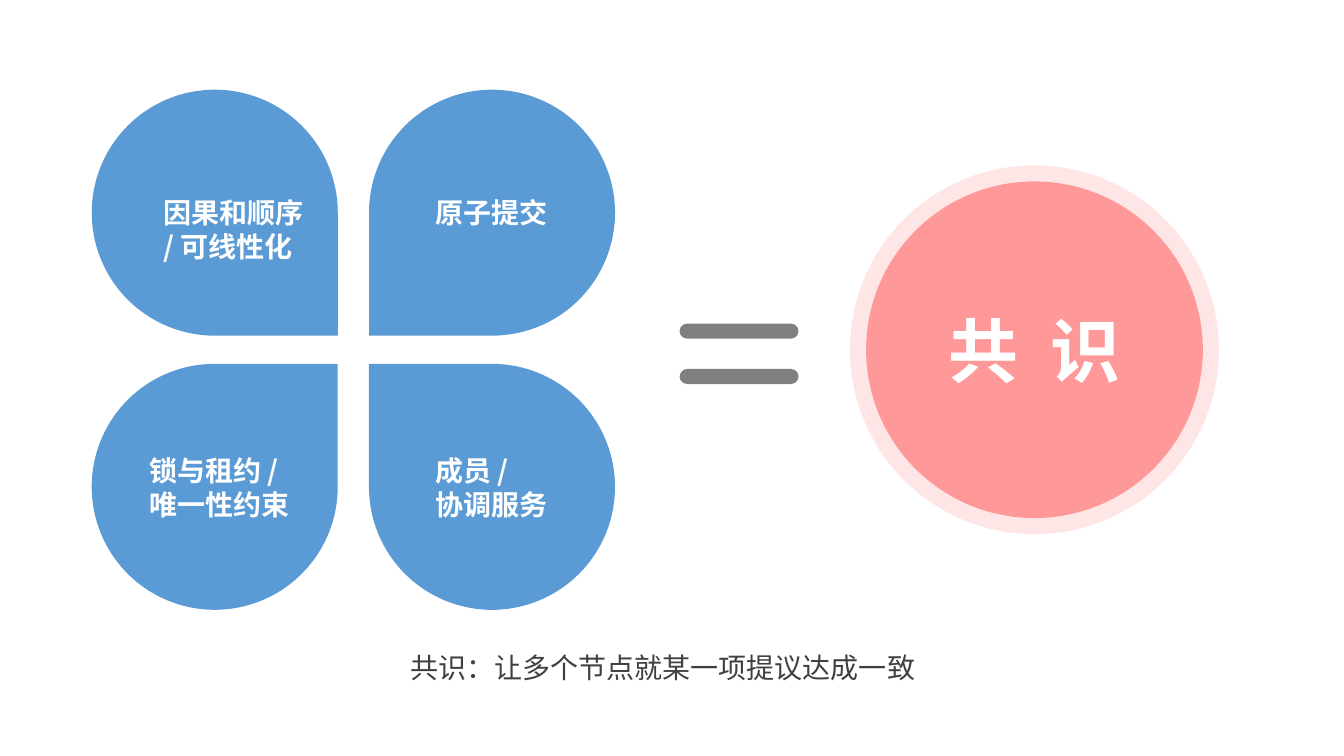
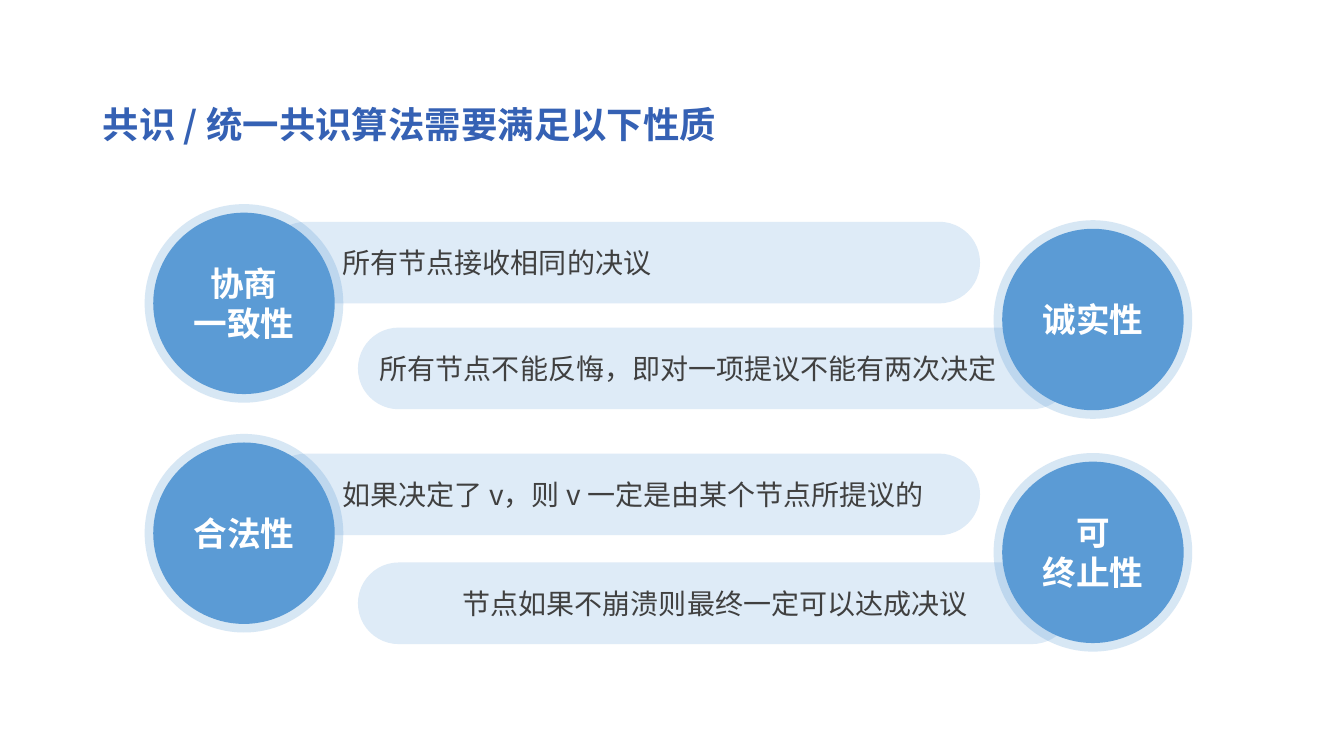
from lxml import etree
from pptx import Presentation
from pptx.dml.color import RGBColor
from pptx.enum.shapes import MSO_SHAPE
from pptx.enum.text import MSO_ANCHOR, PP_ALIGN
from pptx.oxml.ns import qn
from pptx.util import Inches, Pt

ELLIPSE, TEARDROP, PILL = MSO_SHAPE.OVAL, MSO_SHAPE.TEAR, MSO_SHAPE.ROUNDED_RECTANGLE
MIDDLE, LEFT, CENTER = MSO_ANCHOR.MIDDLE, PP_ALIGN.LEFT, PP_ALIGN.CENTER

# Shared style
FONT = "Noto Sans CJK SC"
BLUE, PALE_BLUE, TITLE_BLUE = "5B9BD5", "DEEBF7", "3561B4"
PINK, GRAY, INK, WHITE = "FF9999", "808080", "404040", "FFFFFF"
HALO_OPACITY = 24

# Slide 1: column, row, rotation, label, label left, label top, label width
PETALS = [
    (0, 1, 0, "锁与租约 /\n唯一性约束", 1.38, 4.45, 1.6),
    (1, 1, 270, "成员 /\n协调服务", 4.22, 4.45, 1.32),
    (0, 0, 90, "因果和顺序\n/ 可线性化", 1.52, 1.89, 1.6),
    (1, 0, 180, "原子提交", 4.22, 1.89, 1.32),
]
PETAL_LEFT, PETAL_TOP, PETAL_SIZE = 0.91, 0.89, 2.44
PETAL_STEP_X, PETAL_STEP_Y = 2.75, 2.72
RESULT = "共 识"
DEFINITION = "共识：让多个节点就某一项提议达成一致"

# Slide 2: name, explanation, bar left, bar top, text indent, disc centre x, y
TITLE = "共识 / 统一共识算法需要满足以下性质"
PROPERTIES = [
    ("协商\n一致性", "所有节点接收相同的决议", 2.63, 2.2, 0.65, 2.42, 3.01),
    ("诚实性", "所有节点不能反悔，即对一项提议不能有两次决定", 3.55, 3.25, 0.1, 10.84, 3.17),
    ("合法性", "如果决定了 v，则 v 一定是由某个节点所提议的", 2.63, 4.5, 0.65, 2.42, 5.29),
    ("可\n终止性", "节点如果不崩溃则最终一定可以达成决议", 3.55, 5.58, 0.92, 10.84, 5.48),
]


def rgb(color):
    return RGBColor.from_string(color)


def write(frame, text, size, color, bold=False, align=LEFT, line_spacing=None):
    frame.text = text
    for paragraph in frame.paragraphs:
        paragraph.alignment = align
        if line_spacing:
            paragraph.line_spacing = line_spacing
        for run in paragraph.runs:
            font = run.font
            font.name, font.size, font.bold = FONT, Pt(size), bold
            font.color.rgb = rgb(color)
            east_asian = etree.SubElement(run._r.get_or_add_rPr(), qn("a:ea"))
            east_asian.set("typeface", FONT)


def add_text(slide, box, text, size, color, wrap=True, **style):
    frame = slide.shapes.add_textbox(*map(Inches, box)).text_frame
    frame.word_wrap = wrap
    write(frame, text, size, color, **style)


def add_filled(slide, kind, box, color, opacity=None):
    shape = slide.shapes.add_shape(kind, *map(Inches, box))
    shape.shadow.inherit = False
    shape.line.fill.background()
    shape.fill.solid()
    shape.fill.fore_color.rgb = rgb(color)
    if opacity:
        tint = shape.fill._xPr.find(qn("a:solidFill")).find(qn("a:srgbClr"))
        etree.SubElement(tint, qn("a:alpha")).set("val", str(opacity * 1000))
    if kind == PILL:
        shape.adjustments[0] = 0.5
    return shape


def add_disc(slide, x, y, size, halo_size, color, text, text_size):
    def around(diameter):
        return x - diameter / 2, y - diameter / 2, diameter, diameter

    add_filled(slide, ELLIPSE, around(halo_size), color, HALO_OPACITY)
    frame = add_filled(slide, ELLIPSE, around(size), color).text_frame
    frame.vertical_anchor = MIDDLE
    write(frame, text, text_size, WHITE, bold=True, align=CENTER)
    return frame


def build_equation(slide):
    # Four petals with their labels
    for column, row, rotation, label, left, top, width in PETALS:
        petal = add_filled(slide, TEARDROP, (
            PETAL_LEFT + column * PETAL_STEP_X, PETAL_TOP + row * PETAL_STEP_Y,
            PETAL_SIZE, PETAL_SIZE), BLUE)
        petal.rotation = rotation
        height = 0.77 if "\n" in label else 0.44
        add_text(slide, (left, top, width, height), label, 20, WHITE, wrap=False, bold=True)

    # Result, with its two characters spread apart
    result = add_disc(slide, 10.26, 3.47, 3.34, 3.66, PINK, RESULT, 50)
    result.paragraphs[0].runs[0]._r.get_or_add_rPr().set("spc", "560")

    # Definition and equals sign
    add_text(slide, (3.97, 6.24, 5.3, 0.61), DEFINITION, 20, INK, line_spacing=1.5)
    for top in (3.21, 3.66):
        add_filled(slide, PILL, (6.74, top, 1.18, 0.15), GRAY)


def build_properties(slide):
    add_text(slide, (0.92, 0.96, 6.95, 0.54), TITLE, 26, TITLE_BLUE, bold=True)
    for name, explanation, left, top, indent, x, y in PROPERTIES:
        frame = add_filled(slide, PILL, (left, top, 7.09, 0.81), PALE_BLUE).text_frame
        frame.vertical_anchor = MIDDLE
        frame.margin_left, frame.margin_right = Inches(indent), 0
        write(frame, explanation, 20, INK)
        add_disc(slide, x, y, 1.8, 1.97, BLUE, name, 24)


def main():
    deck = Presentation()
    deck.slide_width, deck.slide_height = Inches(13.33), Inches(7.5)
    for build in (build_equation, build_properties):
        build(deck.slides.add_slide(deck.slide_layouts[6]))
    deck.save("out.pptx")


if __name__ == "__main__":
    main()
